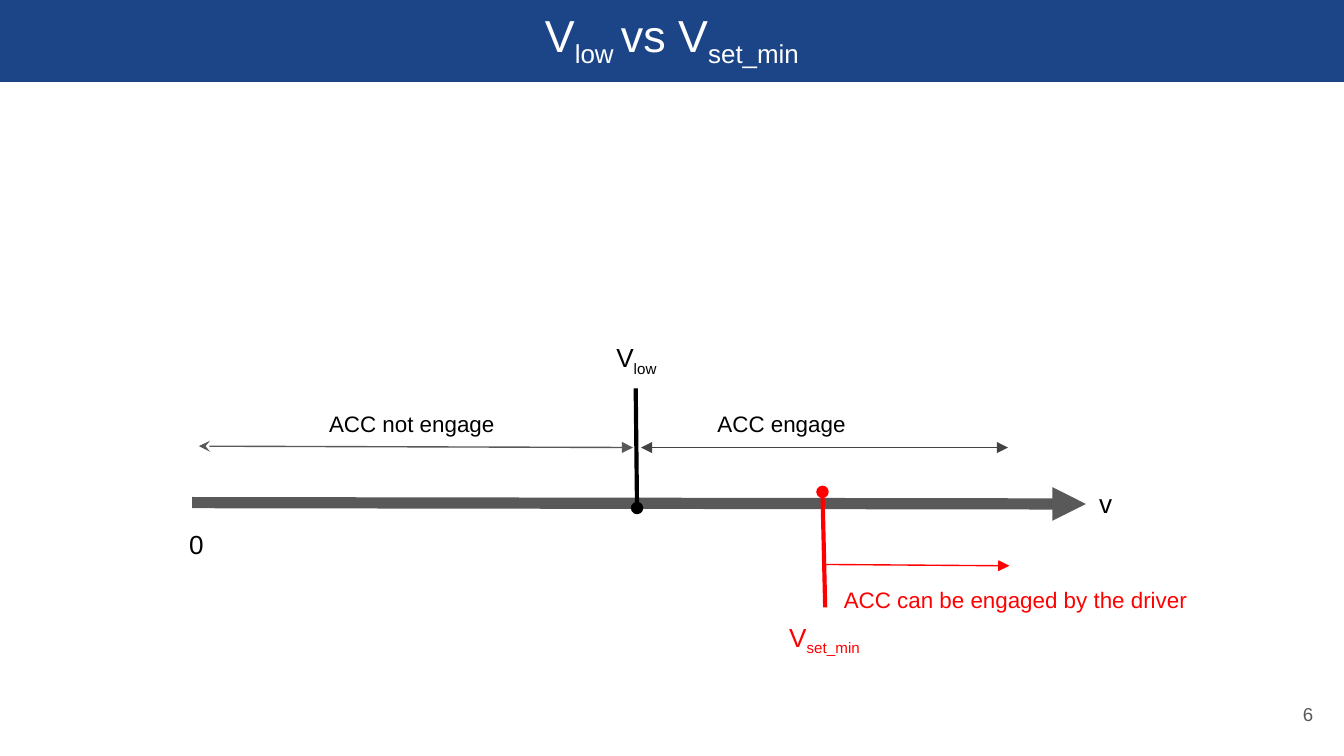
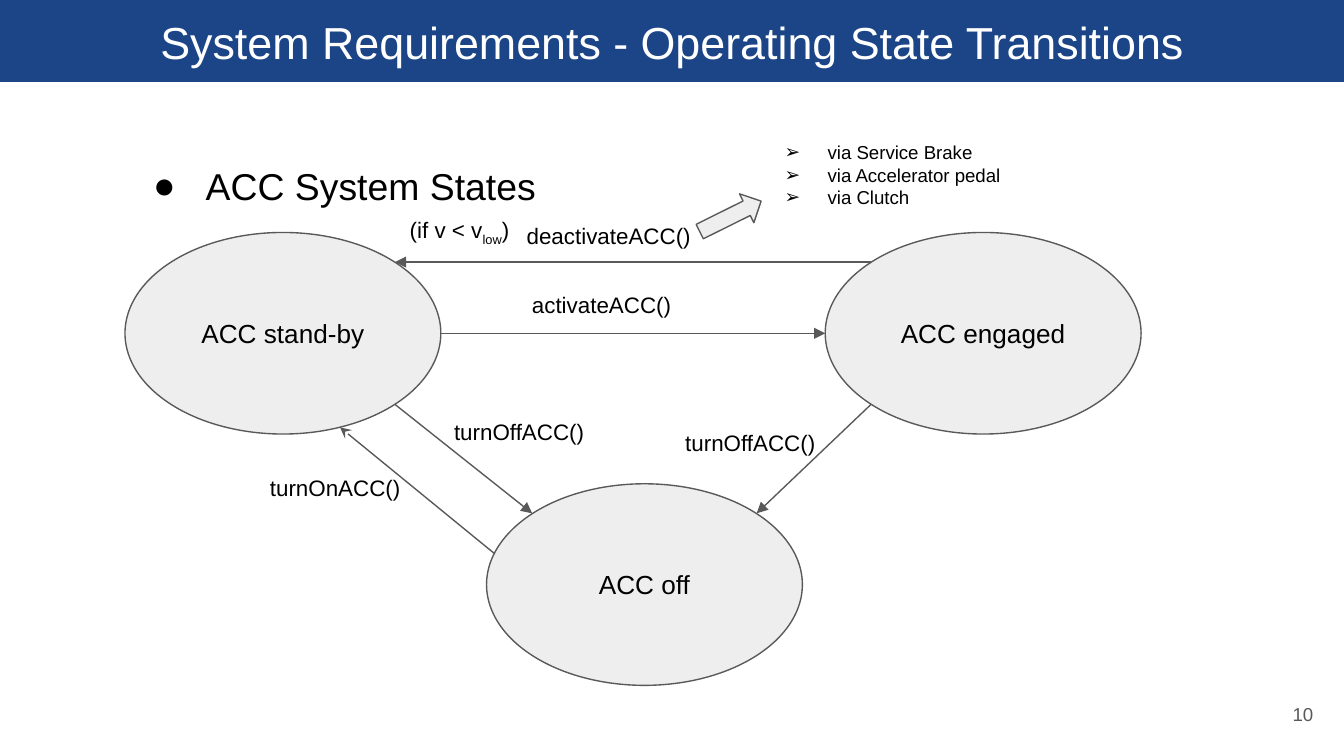
from math import cos, radians, sin

from lxml import etree
from pptx import Presentation
from pptx import util as u
from pptx.dml.color import RGBColor
from pptx.enum import shapes, text
from pptx.oxml.ns import qn

PX = u.Inches(1) // 100
PAGE_WIDTH = 1000 * PX
PAGE_HEIGHT = PAGE_WIDTH * 9 // 16
FONT = "Arial"
NAVY, WHITE, BLACK, RED = "1C4587", "FFFFFF", "000000", "FF0000"
GRAY, DARK, PALE = "595959", "434343", "EEEEEE"
ALIGN = {"l": text.PP_ALIGN.LEFT, "c": text.PP_ALIGN.CENTER, "r": text.PP_ALIGN.RIGHT}
ANCHOR = {"t": text.MSO_ANCHOR.TOP, "m": text.MSO_ANCHOR.MIDDLE, "b": text.MSO_ANCHOR.BOTTOM}

TITLE_BAND = (0, 0, 1000, 61)
NUMBER_BOX = (927, 510, 60, 43)

# Subscripts stand between bars.
SPEED_TITLE = "V|low |vs V|set_min"
SPEED_LINES = [
    ((143, 374), (808, 375), dict(color=GRAY, width=6, tail="triangle")),
    ((473, 289), (474, 378), dict(color=BLACK, width=2.25, tail="oval")),
    ((148, 332), (471, 333), dict(color=GRAY, head="stealth", tail="triangle")),
    ((477, 333), (750, 333), dict(color=DARK, head="triangle", tail="triangle")),
    ((614, 452), (612, 366), dict(color=RED, width=2.25, tail="oval")),
    ((614, 420), (751, 421), dict(color=RED, tail="triangle")),
]
SPEED_LABELS = [
    ("ACC not engage", (235, 295, 188, 38), {}),
    ("ACC engage", (524, 295, 144, 38), {}),
    ("ACC can be engaged by the driver", (618, 426, 303, 38), dict(color=RED)),
    ("V|low", (434, 244, 79, 52), dict(size=14, align="c")),
    ("V|set_min", (574, 452, 79, 52), dict(size=14, align="c", color=RED)),
    ("v", (808, 353, 23, 43), dict(size=14)),
    ("0", (131, 383, 23, 43), dict(size=14)),
]

STATES_TITLE = "System Requirements - Operating State Transitions"
STATES_HEADING = "ACC System States"
STATE_SIZE = (235, 150)
STATES = {
    "ACC stand-by": (93, 173),
    "ACC off": (362, 360),
    "ACC engaged": (614, 173),
}
TRANSITIONS = [
    ("ACC stand-by", 0, "ACC engaged", 180, dict(tail="triangle")),
    ("ACC stand-by", 45, "ACC off", 225, dict(tail="triangle")),
    ("ACC engaged", 135, "ACC off", 315, dict(tail="triangle")),
    ("ACC stand-by", 69, "ACC off", 198, dict(head="stealth")),
    ("ACC engaged", 225, "ACC stand-by", 315, dict(tail="triangle")),
]
TRANSITION_LABELS = [
    ("activateACC()", (386, 209, 126, 16)),
    ("turnOffACC()", (328, 301, 131, 43)),
    ("turnOffACC()", (500, 309, 131, 43)),
    ("turnOnACC()", (191, 343, 121, 43)),
    ("deactivateACC()", (382, 155, 159, 38)),
    ("(if v < v|low|)", (295, 151, 115, 36)),
]
TRIGGERS = ["via Service Brake", "via Accelerator pedal", "via Clutch"]


def rgb(value):
    return RGBColor.from_string(value)


def emu(values):
    return [value * PX for value in values]


def place(shape, box):
    shape.left, shape.top, shape.width, shape.height = emu(box)


def add_bullet(para, mark, margin, indent):
    props = para._p.get_or_add_pPr()
    props.set("marL", str(margin * PX))
    props.set("indent", str(indent * PX))
    color = etree.SubElement(props, qn("a:buClr"))
    etree.SubElement(color, qn("a:srgbClr"), val=BLACK)
    etree.SubElement(props, qn("a:buFont"), typeface=FONT)
    etree.SubElement(props, qn("a:buChar"), char=mark)


def write(shape, lines, size=12, color=BLACK, align="l", anchor="t", spacing=None, bullet=None):
    frame = shape.text_frame
    frame.word_wrap = True
    frame.auto_size = text.MSO_AUTO_SIZE.NONE
    frame.vertical_anchor = ANCHOR[anchor]
    frame.margin_left = frame.margin_right = frame.margin_top = frame.margin_bottom = 10 * PX
    for index, line in enumerate(lines):
        para = frame.add_paragraph() if index else frame.paragraphs[0]
        para.alignment = ALIGN[align]
        para.space_before = u.Pt(0)
        if spacing:
            para.line_spacing = spacing
        if bullet:
            add_bullet(para, *bullet)
        for position, piece in enumerate(line.split("|")):
            span = para.add_run()
            span.text = piece
            span.font.name = FONT
            span.font.size = u.Pt(size)
            span.font.color.rgb = rgb(color)
            if position % 2:
                span.font._element.set("baseline", "-25000")


def add_label(page, lines, box, **style):
    write(page.shapes.add_textbox(*emu(box)), lines, **style)


def add_line(page, start, end, color=GRAY, width=0.75, head=None, tail=None):
    line = page.shapes.add_connector(shapes.MSO_CONNECTOR.STRAIGHT, *emu(start + end))
    line.line.color.rgb = rgb(color)
    line.line.width = u.Pt(width)
    props = line.element.spPr
    outline = props.find(qn("a:ln"))
    for tag, kind in (("a:headEnd", head), ("a:tailEnd", tail)):
        if kind:
            etree.SubElement(outline, qn(tag), type=kind)
    etree.SubElement(props, qn("a:effectLst"))


def add_pale_shape(page, kind, box):
    shape = page.shapes.add_shape(kind, *emu(box))
    shape.shadow.inherit = False
    shape.fill.solid()
    shape.fill.fore_color.rgb = rgb(PALE)
    shape.line.color.rgb = rgb(GRAY)
    shape.line.width = u.Pt(0.75)
    return shape


def add_page(deck, layout, title, number):
    page = deck.slides.add_slide(deck.slide_layouts[layout])
    band = page.shapes.title
    place(band, TITLE_BAND)
    band.fill.solid()
    band.fill.fore_color.rgb = rgb(NAVY)
    write(band, [title], size=24, color=WHITE, align="c", anchor="b")
    add_label(page, [str(number)], NUMBER_BOX, size=10, color=GRAY, align="r", anchor="m")
    return page


def rim_point(state, angle):
    (left, top), (width, height) = STATES[state], STATE_SIZE
    turn = radians(angle)
    return (round(left + width / 2 * (1 + cos(turn))),
            round(top + height / 2 * (1 + sin(turn))))


def build_speed_page(deck):
    page = add_page(deck, 5, SPEED_TITLE, 6)
    for start, end, style in SPEED_LINES:
        add_line(page, start, end, **style)
    for label, box, style in SPEED_LABELS:
        add_label(page, [label], box, **style)


def build_states_page(deck):
    page = add_page(deck, 1, STATES_TITLE, 10)
    body = page.placeholders[1]
    place(body, (93, 78, 805, 64))
    write(body, [STATES_HEADING], size=20, spacing=2.0, bullet=("●", 50, -39))
    for state, corner in STATES.items():
        oval = add_pale_shape(page, shapes.MSO_SHAPE.OVAL, corner + STATE_SIZE)
        write(oval, [state], size=14, align="c", anchor="m")
    for source, leave, target, arrive, ends in TRANSITIONS:
        add_line(page, rim_point(source, leave), rim_point(target, arrive), **ends)
    for label, box in TRANSITION_LABELS:
        add_label(page, [label], box)
    arrow = add_pale_shape(page, shapes.MSO_SHAPE.RIGHT_ARROW, (518, 149, 51, 24))
    arrow.rotation = 333.6
    add_label(page, TRIGGERS, (556, 95, 207, 64), size=10, bullet=("➢", 50, -32))


def main():
    deck = Presentation()
    deck.slide_width, deck.slide_height = PAGE_WIDTH, PAGE_HEIGHT
    build_speed_page(deck)
    build_states_page(deck)
    deck.save("out.pptx")


if __name__ == "__main__":
    main()
